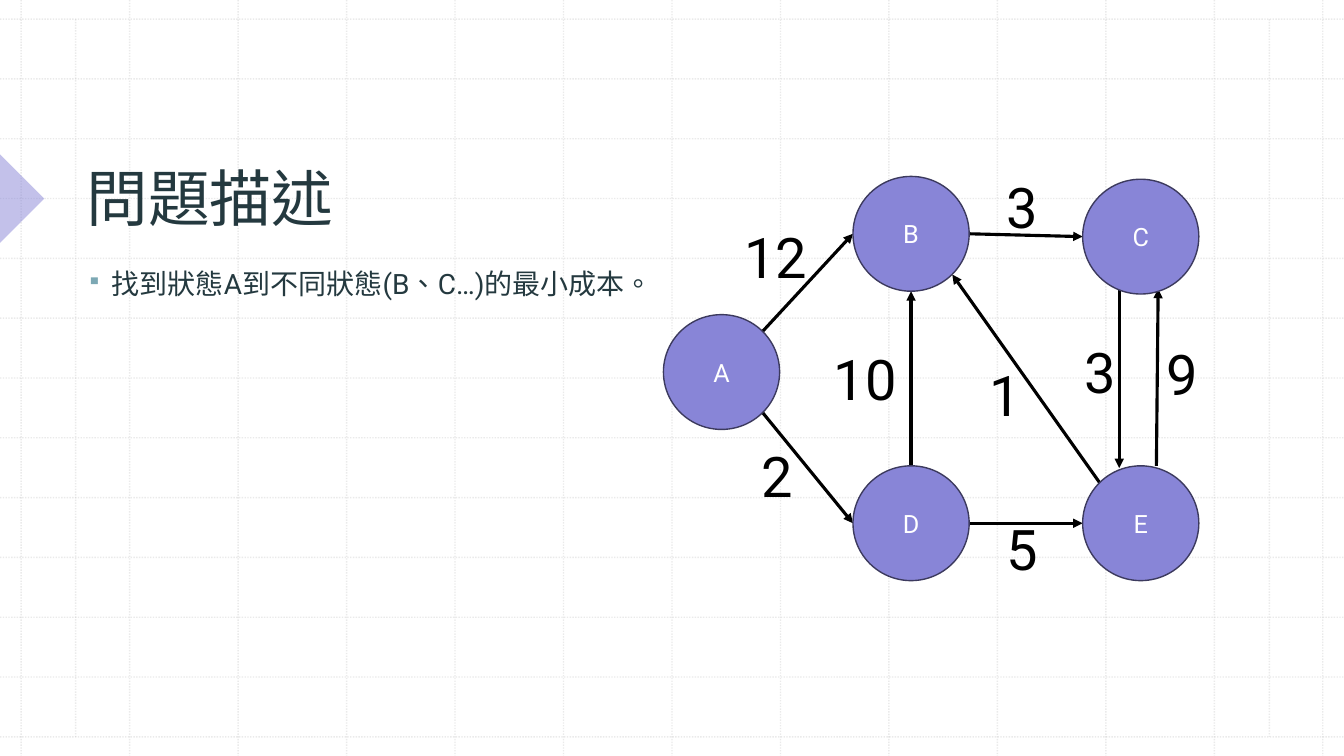
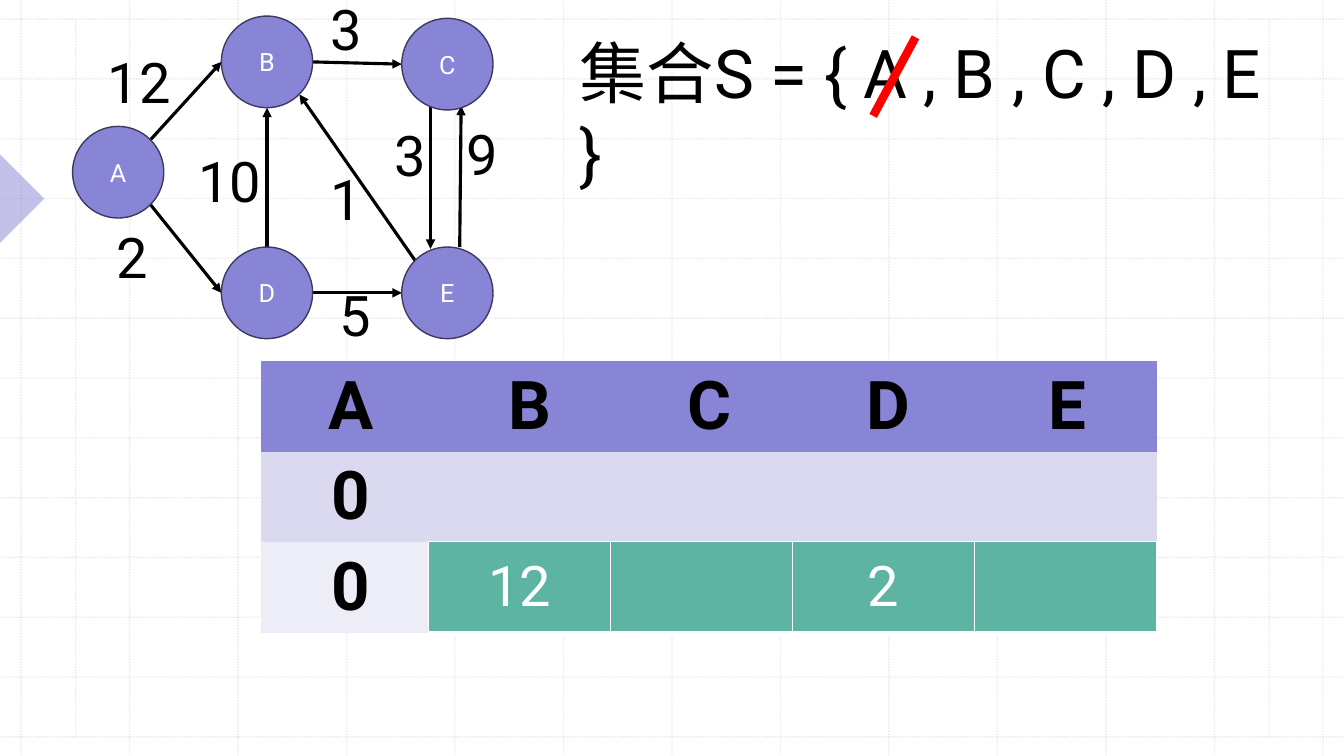
from lxml import etree
from pptx import Presentation
from pptx import util as u
from pptx.dml.color import RGBColor
from pptx.enum import dml, shapes, text
from pptx.oxml import ns

WIDTH, HEIGHT = 13.33, 7.5
FONT, LANGUAGE = "Roboto", "zh-TW"
COLORS = {
    "grid": "BCBCBC", "title": "24393F", "bullet": "7CA8B4",
    "accent": "8885D7", "outline": "3C3A5E", "ink": "000000",
    "white": "FFFFFF", "strike": "FF0000",
    "band": "DAD9F0", "band_light": "EDEDF8", "update": "5DB4A2",
}
STYLES = {
    "title": {"size": u.Pt(44), "color": "title"},
    "body": {"size": u.Pt(20), "color": "title"},
    "weight": {"size": u.Pt(40), "color": "ink"},
    "node": {"size": u.Pt(18), "color": "white"},
    "set": {"size": u.Pt(48), "color": "ink"},
    "cell": {"size": u.Pt(48), "color": "ink", "bold": True},
    "update": {"size": u.Pt(40), "color": "white"},
}
PLAIN_TABLE = "{2D5ABB26-0587-4C30-8999-92F81FD0307C}"

# Graph: node corners in percent of the graph box
NODE_SIZE = (21.7, 28.4)
NODES = {"A": (0, 34.2), "B": (35.4, 0), "C": (78.3, 0.7),
         "D": (35.4, 71.6), "E": (78.3, 71.6)}
# Points on a node, in radii from its centre
EAST, WEST, NORTH, SOUTH = (1, 0), (-1, 0), (0, -1), (0, 1)
NE, SE, NW = (0.71, -0.71), (0.71, 0.71), (-0.71, -0.71)
EDGES = [
    ("A", NE, "B", WEST), ("A", SE, "D", WEST), ("D", NORTH, "B", SOUTH),
    ("D", EAST, "E", WEST), ("E", NW, "B", SE), ("B", EAST, "C", WEST),
    ("C", (-0.37, 0.91), "E", (-0.37, -0.96)),
    ("E", (0.27, -1), "C", (0.3, 0.91)),
]
# Weights: text, left and top in percent of the graph box
PROBLEM_WEIGHTS = [
    ("12", 13.2, 10.2), ("2", 16.4, 64.3), ("10", 30, 40.4), ("1", 59.1, 44.4),
    ("3", 62.3, -2.2), ("3", 76.8, 38.7), ("9", 92.1, 39.2), ("5", 62.3, 82.5),
]
STEP_WEIGHTS = [
    ("12", 6, 8.1), ("2", 8.2, 62.5), ("10", 27.5, 38.8), ("1", 59, 44.4),
    ("3", 59, -8.1), ("3", 74.1, 30.9), ("9", 91.4, 30.6), ("5", 61.2, 80.3),
]
# Label widths by number of digits, wide enough for one line
WEIGHT_WIDTHS = {1: 0.6, 2: 0.9}


def rgb(name):
    return RGBColor.from_string(COLORS[name])


def inches(*lengths):
    return [u.Inches(length) for length in lengths]


def add_element(parent, tag, **attributes):
    return etree.SubElement(parent, ns.qn(tag), attributes)


def set_alpha(parent, percent):
    for color in parent.iter(ns.qn("a:srgbClr")):
        add_element(color, "a:alpha", val=str(percent * 1000))


def fill_solid(target, color):
    target.fill.solid()
    target.fill.fore_color.rgb = rgb(color)


def write(paragraph, words, style):
    run = paragraph.add_run()
    run.text = words
    run.font.name = FONT
    for name, value in STYLES[style].items():
        if name == "color":
            run.font.color.rgb = rgb(value)
        else:
            setattr(run.font, name, value)
    run.font._element.set("lang", LANGUAGE)
    add_element(run.font._element, "a:ea", typeface=FONT)


def add_text(slide, box, words, style, anchor=text.MSO_ANCHOR.TOP):
    frame = slide.shapes.add_textbox(*inches(*box)).text_frame
    frame.word_wrap = True
    frame.vertical_anchor = anchor
    write(frame.paragraphs[0], words, style)
    return frame.paragraphs[0]


def add_line(slide, start, end, color, width):
    line = slide.shapes.add_connector(
        shapes.MSO_CONNECTOR.STRAIGHT, *inches(*start, *end))
    line.line.color.rgb = rgb(color)
    line.line.width = u.Pt(width)
    add_element(line._element.spPr, "a:effectLst")
    return line


def add_background(slide):
    """Dotted grid and the marker at the left edge."""
    left, top = 0.21, 0.19
    column, row = (WIDTH - 2 * left) / 12, (HEIGHT - 2 * top) / 12
    lines = [((left + i * column, 0), (left + i * column, HEIGHT)) for i in range(13)]
    lines += [((0, top + i * row), (WIDTH, top + i * row)) for i in range(13)]
    lines += [((x, top), (x, HEIGHT - top)) for x in (0.75, 12.59)]
    for start, end in lines:
        line = add_line(slide, start, end, "grid", 1)
        line.line.dash_style = dml.MSO_LINE.ROUND_DOT
        set_alpha(line._element.spPr, 30)

    marker = slide.shapes.add_shape(
        shapes.MSO_SHAPE.RIGHT_TRIANGLE, *inches(-0.31, 1.66, 0.62, 0.62))
    marker.rotation = 225
    marker.shadow.inherit = False
    fill_solid(marker, "accent")
    marker.line.fill.background()
    set_alpha(marker._element.spPr, 50)


def add_graph(slide, box, weights):
    """Directed graph whose parts scale with the box."""
    left, top, width, height = box

    def place(x, y):
        return left + width * x / 100, top + height * y / 100

    def node_point(name, offset):
        return place(*(corner + size / 2 * (1 + shift) for corner, size, shift
                       in zip(NODES[name], NODE_SIZE, offset)))

    for words, x, y in weights:
        add_text(slide, (*place(x, y), WEIGHT_WIDTHS[len(words)], 0.77), words, "weight")

    for source, leaving, target, arriving in EDGES:
        edge = add_line(slide, node_point(source, leaving),
                        node_point(target, arriving), "ink", 2.25)
        add_element(edge.line._get_or_add_ln(), "a:tailEnd", type="triangle")

    node_width, node_height = NODE_SIZE
    for name, corner in NODES.items():
        node = slide.shapes.add_shape(
            shapes.MSO_SHAPE.OVAL, *inches(
                *place(*corner), width * node_width / 100, height * node_height / 100))
        node.shadow.inherit = False
        fill_solid(node, "accent")
        node.line.color.rgb = rgb("outline")
        node.line.width = u.Pt(1)
        node.text_frame.vertical_anchor = text.MSO_ANCHOR.MIDDLE
        paragraph = node.text_frame.paragraphs[0]
        paragraph.alignment = text.PP_ALIGN.CENTER
        write(paragraph, name, "node")


def add_borders(cell):
    properties = cell._tc.get_or_add_tcPr()
    for side, width in (("L", 1), ("R", 1), ("T", 1), ("B", 3)):
        border = add_element(properties, f"a:ln{side}", w=str(u.Pt(width)))
        fill = add_element(border, "a:solidFill")
        add_element(fill, "a:srgbClr", val=COLORS["white"])


def add_grid_table(slide, box, rows, fills, style, bordered=False):
    """Table of equal cells with one fill colour per row."""
    table = slide.shapes.add_table(len(rows), len(rows[0]), *inches(*box)).table
    table._tbl.tblPr.find(ns.qn("a:tableStyleId")).text = PLAIN_TABLE
    for i, (values, fill) in enumerate(zip(rows, fills)):
        for j, value in enumerate(values):
            cell = table.cell(i, j)
            cell.vertical_anchor = text.MSO_ANCHOR.MIDDLE
            if bordered:
                add_borders(cell)
            fill_solid(cell, fill)
            if value:
                paragraph = cell.text_frame.paragraphs[0]
                paragraph.alignment = text.PP_ALIGN.CENTER
                write(paragraph, value, style)


def add_bullet(paragraph):
    properties = paragraph._p.get_or_add_pPr()
    properties.set("marL", str(u.Inches(0.25)))
    properties.set("indent", str(-u.Inches(0.25)))
    color = add_element(properties, "a:buClr")
    add_element(color, "a:srgbClr", val=COLORS["bullet"])
    add_element(properties, "a:buSzPct", val="75000")
    add_element(properties, "a:buChar", char="▪")
    paragraph.line_spacing = 1.1


def build_problem(slide):
    add_text(slide, (0.76, 0.79, 11.29, 1.58), "問題描述", "title",
             text.MSO_ANCHOR.BOTTOM)
    add_bullet(add_text(slide, (0.76, 2.56, 11.29, 3.9),
                        "找到狀態A到不同狀態(B、C…)的最小成本。", "body"))
    add_graph(slide, (6.58, 1.75, 5.31, 4.01), PROBLEM_WEIGHTS)


def build_first_step(slide):
    # Remaining set, with the visited state struck out
    add_text(slide, (5.65, 0.26, 6.98, 0.91), "集合S = { A , B , C , D , E }", "set")
    add_line(slide, (8.66, 1.15), (9.08, 0.37), "strike", 6)
    # Cost table, with the updated costs on top
    add_grid_table(slide, (2.59, 3.58, 8.89, 2.7),
                   ["ABCDE", ["0", "", "", "", ""], ["0", "", "", "", ""]],
                   ["accent", "band", "band_light"], "cell")
    add_grid_table(slide, (4.25, 5.37, 7.22, 0.91), [["12", "", "2", ""]],
                   ["update"], "update", bordered=True)
    add_graph(slide, (0.72, 0.16, 4.17, 3.2), STEP_WEIGHTS)


def main():
    presentation = Presentation()
    presentation.slide_width, presentation.slide_height = inches(WIDTH, HEIGHT)
    for build in (build_problem, build_first_step):
        slide = presentation.slides.add_slide(presentation.slide_layouts[6])
        add_background(slide)
        build(slide)
    presentation.save("out.pptx")


if __name__ == "__main__":
    main()
